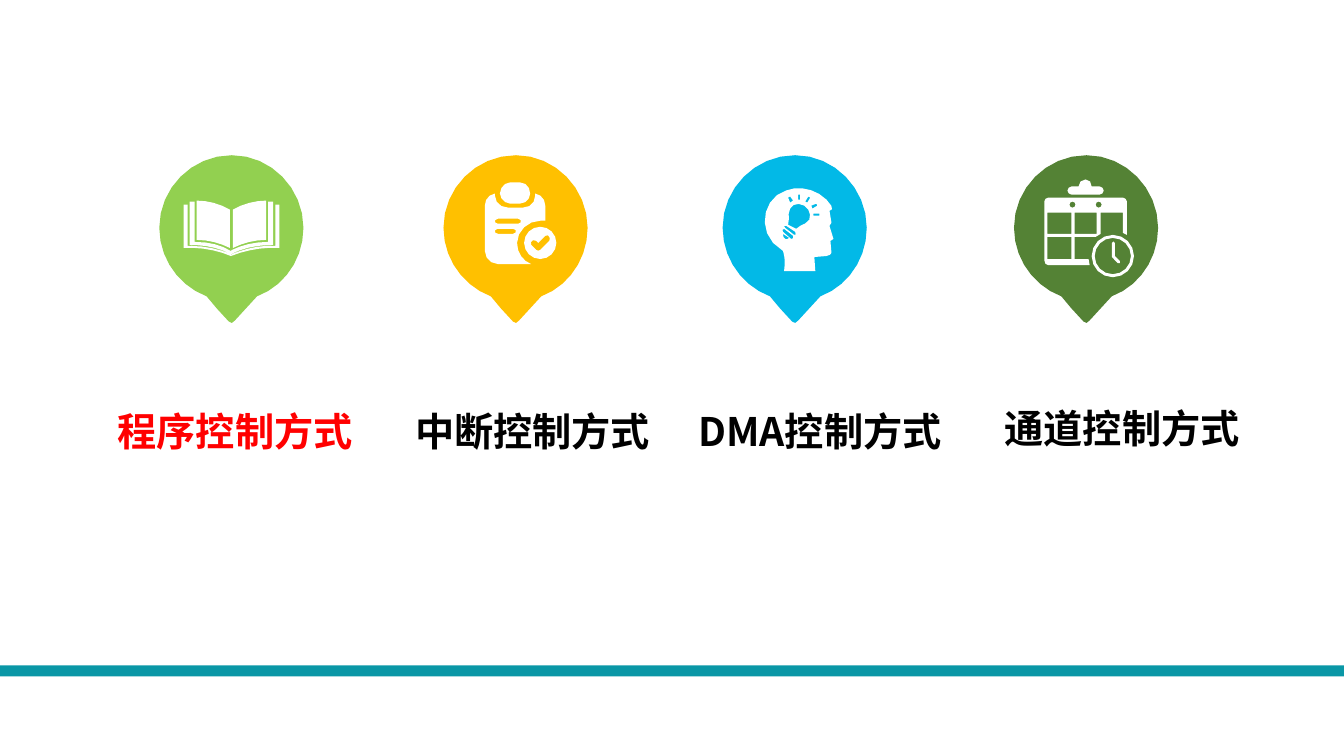
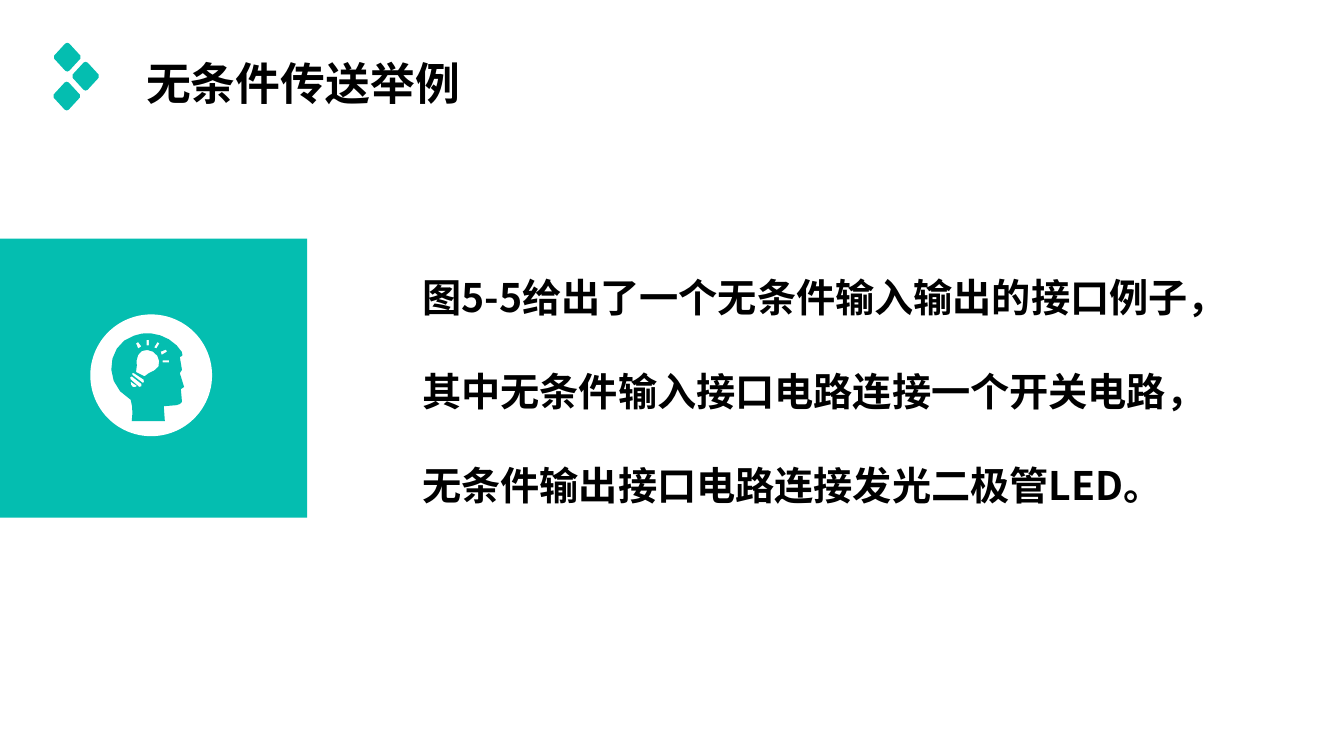
import math

from lxml import etree
from pptx import Presentation
from pptx.dml import color as c
from pptx.enum import shapes as s, text as t
from pptx.oxml import ns
from pptx.util import Pt

FONT = "Noto Sans CJK SC"
BLACK, WHITE, RED = "000000", "FFFFFF", "FF0000"
TEAL, BAR_TEAL = "04BEB0", "0A97A6"
GREEN, AMBER, BLUE, DARK_GREEN = "92D050", "FFC000", "02B9E7", "548235"

# Outlines: M starts a contour, L is a line, C a Bezier curve,
# O a circle (centre, radius), R a rectangle (left, top, right, bottom).
# Overlapping contours cut holes. One unit is UNIT points.
UNIT = 0.72
CIRCLE_ARC = 0.55

PIN = """
M 72 0 C 111 0 143 33 143 72 C 143 103 124 130 97 140 L 86 152
L 75 164 C 73 167 71 167 69 165 L 57 152
L 47 140 C 20 130 0 103 0 72 C 0 33 32 0 72 0
"""
BOOK = """
M 91 4 L 91 45 L 90 45 C 76 44 60 48 48 53 L 47 54 L 47 53
C 35 48 21 45 8 45 L 4 45 L 4 4 L 0 4 L 0 47
C 16 46 33 49 47 55 C 62 49 79 46 95 47 L 95 4
M 46 47 L 46 9 C 36 3 24 0 13 0 L 13 39 C 25 39 36 42 46 47
M 82 39 L 82 0 C 71 0 59 3 49 9 L 49 47 C 59 42 70 39 82 39
M 47 53 C 61 46 76 44 89 44 L 89 1 L 84 1 L 84 41
C 70 41 58 44 48 49 L 47 50 C 37 44 26 41 11 41 L 11 1 L 6 1 L 6 44
C 19 44 34 46 47 53
"""
CHECKLIST = """
M 45 11 C 45 16 41 21 35 21 L 25 21 C 20 21 15 16 15 11
C 15 5 20 0 25 0 L 35 0 C 41 0 45 5 45 11
M 50 11 L 50 13 C 50 20 45 25 38 25 L 23 25 C 16 25 10 20 10 13 L 10 11
C 4 12 0 17 0 23 L 0 68 C 0 75 6 81 13 81 L 46 81
C 38 78 32 70 32 60 C 32 48 43 38 55 38 L 60 38 L 60 23 C 60 17 56 12 50 11
M 28 51 L 13 51 C 9 51 9 46 13 46 L 28 46 C 32 46 32 51 28 51
M 33 41 L 13 41 C 9 41 9 36 13 36 L 33 36 C 37 36 37 41 33 41
O 55 60 16
M 64 58 L 55 67 C 54 68 52 68 51 67 L 46 62 C 44 60 48 55 51 58
L 53 60 L 60 53 C 63 50 66 56 64 58
"""
HEAD = """
M 29 85 C 30 78 30 71 28 65 C 0 49 7 12 31 5 C 43 0 60 3 71 14
C 79 22 76 24 76 24 L 74 25 L 76 37 L 74 40
L 78 53 L 75 55 L 76 67 C 76 68 73 70 71 70 L 59 71 L 60 85
M 28 48 C 28 50 28 52 30 53 C 31 54 33 53 34 52
M 49 20 C 44 17 37 18 35 23 C 32 28 35 33 33 39 L 41 43
C 44 39 51 39 54 34 C 56 29 54 23 49 20
M 40 46 L 31 40 C 30 39 27 41 30 42 L 39 49 C 40 50 42 48 40 46
M 38 50 L 29 43 C 28 43 26 45 28 46 L 36 53 C 37 53 40 52 38 50
M 52 17 L 55 12 L 53 11 L 50 16
M 57 23 L 62 20 L 61 18 L 56 20
M 38 15 L 35 11 L 33 12 L 35 17
R 43 9 45 14
R 58 28 64 30
"""
CALENDAR = """
M 23 11 C 23 13 25 15 27 15 L 55 15 C 57 15 59 13 59 11
C 59 9 57 7 55 7 L 47 7 C 47 3 45 0 41 0 C 37 0 34 3 34 7 L 27 7
C 25 7 23 9 23 11
M 44 79 L 30 79 L 30 57 L 51 57 L 56 54 L 56 33 L 78 33 L 78 53
L 82 55 L 82 22 C 82 20 80 18 78 18 L 4 18 C 2 18 0 20 0 22
L 0 80 C 0 83 2 85 4 85 L 45 85 L 44 79
R 3 33 27 54
R 3 57 27 79
R 30 33 52 54
O 54 25 3
O 28 25 3
O 68 76 21
O 68 76 18
M 73 83 C 73 84 75 84 75 83 C 76 83 76 82 75 81 L 70 76 L 70 63
C 70 61 67 61 67 63 L 67 77
"""
DIAMOND = """
M 1 13 L 12 1 C 13 0 15 0 16 1 L 27 13 C 28 14 28 15 27 16
L 16 28 C 15 29 13 29 12 28 L 1 16 C 0 15 0 14 1 13
"""
ARGUMENT_COUNTS = {"M": 2, "L": 2, "C": 6, "O": 3, "R": 4}


def paint(shape, color):
    """Give a shape a flat fill without outline or shadow."""
    shape.shadow.inherit = False
    shape.fill.solid()
    shape.fill.fore_color.rgb = c.RGBColor.from_string(color)
    shape.line.fill.background()


def write(shape, words, size, color=BLACK, line_spacing=1.0):
    """Set the text of a shape as one bold, left-aligned paragraph without bullet."""
    frame = shape.text_frame
    frame.text = words
    frame.vertical_anchor = t.MSO_ANCHOR.TOP
    paragraph = frame.paragraphs[0]
    paragraph.alignment = t.PP_ALIGN.LEFT
    paragraph.line_spacing = line_spacing
    paragraph.space_before = Pt(0)
    properties = paragraph._p.get_or_add_pPr()
    properties.set("marL", "0")
    properties.set("indent", "0")
    etree.SubElement(properties, ns.qn("a:buNone"))
    font = paragraph.font
    font.name = FONT
    font.size = Pt(size)
    font.bold = True
    font.color.rgb = c.RGBColor.from_string(color)
    east_asian = etree.SubElement(properties.find(ns.qn("a:defRPr")), ns.qn("a:ea"))
    east_asian.set("typeface", FONT)


presentation = Presentation()
presentation.slide_width, presentation.slide_height = Pt(960), Pt(540)
title_and_content, blank = presentation.slide_layouts[1], presentation.slide_layouts[6]
methods_slide = presentation.slides.add_slide(blank)
example_slide = presentation.slides.add_slide(title_and_content)

# Bands and the badge
rectangle, oval = s.MSO_SHAPE.RECTANGLE, s.MSO_SHAPE.OVAL
for slide, kind, box, color in [
    (methods_slide, rectangle, (0, 475.2, 960, 7.9), BAR_TEAL),
    (example_slide, rectangle, (0, 170.5, 219.5, 199.3), TEAL),
    (example_slide, oval, (64.5, 224.6, 87, 87), WHITE),
]:
    paint(slide.shapes.add_shape(kind, *[Pt(value) for value in box]), color)

# Control methods: label, label colour, label left and top, pin left and colour,
# icon and its offset in the pin
PIN_TOP = 110.9
drawings = []
for words, color, left, top, pin_left, pin_color, icon, dx, dy in [
    ("程序控制方式", RED, 77, 287.3, 113.8, GREEN, BOOK, 17.3, 32.4),
    ("中断控制方式", BLACK, 289.4, 287.3, 316.8, AMBER, CHECKLIST, 29.5, 19.4),
    ("DMA控制方式", BLACK, 491.8, 287.3, 516.2, BLUE, HEAD, 23, 21.6),
    ("通道控制方式", BLACK, 710.6, 285.1, 724.3, DARK_GREEN, CALENDAR, 21.6, 17.3),
]:
    label_width = 209 if words.startswith("DMA") else 192
    label = methods_slide.shapes.add_textbox(Pt(left), Pt(top), Pt(label_width), Pt(41))
    label.text_frame.word_wrap = False
    write(label, words, 28, color)
    drawings += [
        (methods_slide, PIN, pin_left, PIN_TOP, UNIT, pin_color),
        (methods_slide, icon, pin_left + dx, PIN_TOP + dy, UNIT, WHITE),
    ]

# Example: badge icon and title mark
drawings.append((example_slide, HEAD, 72, 236, UNIT * 1.06, TEAL))
for left, top in [(38, 30.4), (51.1, 44), (37.6, 58.2)]:
    drawings.append((example_slide, DIAMOND, left, top, UNIT, TEAL))

# Flatten every outline to points, with more steps on longer curves, and draw it
for slide, outline, left, top, scale, color in drawings:
    tokens = iter(outline.split())
    contours = []
    for command in tokens:
        numbers = [float(next(tokens)) for _ in range(ARGUMENT_COUNTS[command])]
        curves = []
        if command == "M":
            contours.append([tuple(numbers)])
        elif command == "L":
            contours[-1].append(tuple(numbers))
        elif command == "R":
            x1, y1, x2, y2 = numbers
            contours.append([(x1, y1), (x2, y1), (x2, y2), (x1, y2)])
        elif command == "O":
            x, y, radius = numbers
            contours.append([(x + radius, y)])
            for ux, uy in [(1, 0), (0, 1), (-1, 0), (0, -1)]:
                vx, vy = -uy, ux
                curves.append([
                    (x + radius * (ux * a + vx * b), y + radius * (uy * a + vy * b))
                    for a, b in [(1, CIRCLE_ARC), (CIRCLE_ARC, 1), (0, 1)]
                ])
        else:
            curves.append(list(zip(numbers[::2], numbers[1::2])))
        for controls in curves:
            corners = [contours[-1][-1], *controls]
            length = sum(math.dist(a, b) for a, b in zip(corners, controls))
            steps = max(1, round(0.7 * math.sqrt(length)))
            for step in range(1, steps + 1):
                f = step / steps
                weights = ((1 - f) ** 3, 3 * f * (1 - f) ** 2, 3 * f * f * (1 - f), f ** 3)
                contours[-1].append(tuple(
                    sum(weight * corner[axis] for weight, corner in zip(weights, corners))
                    for axis in (0, 1)
                ))

    placed = [
        [(Pt(left + x * scale), Pt(top + y * scale)) for x, y in contour]
        for contour in contours
    ]
    builder = slide.shapes.build_freeform(*placed[0][0])
    for index, contour in enumerate(placed):
        if index:
            builder.move_to(*contour[0])
        builder.add_line_segments(contour[1:], close=True)
    paint(builder.convert_to_shape(), color)

# Example: title and body
title, body = example_slide.placeholders
for placeholder, box in [(title, (97.2, 40.3, 840, 82.8)), (body, (294.5, 157.7, 589.7, 200.9))]:
    placeholder.left, placeholder.top, placeholder.width, placeholder.height = map(Pt, box)
    placeholder.text_frame.word_wrap = True
    placeholder.text_frame.auto_size = t.MSO_AUTO_SIZE.NONE
write(title, "无条件传送举例", 32, line_spacing=0.9)
write(
    body,
    "图5-5给出了一个无条件输入输出的接口例子，其中无条件输入接口电路连接一个开关电路，"
    "无条件输出接口电路连接发光二极管LED。",
    28,
    line_spacing=2.0,
)

presentation.save("out.pptx")
